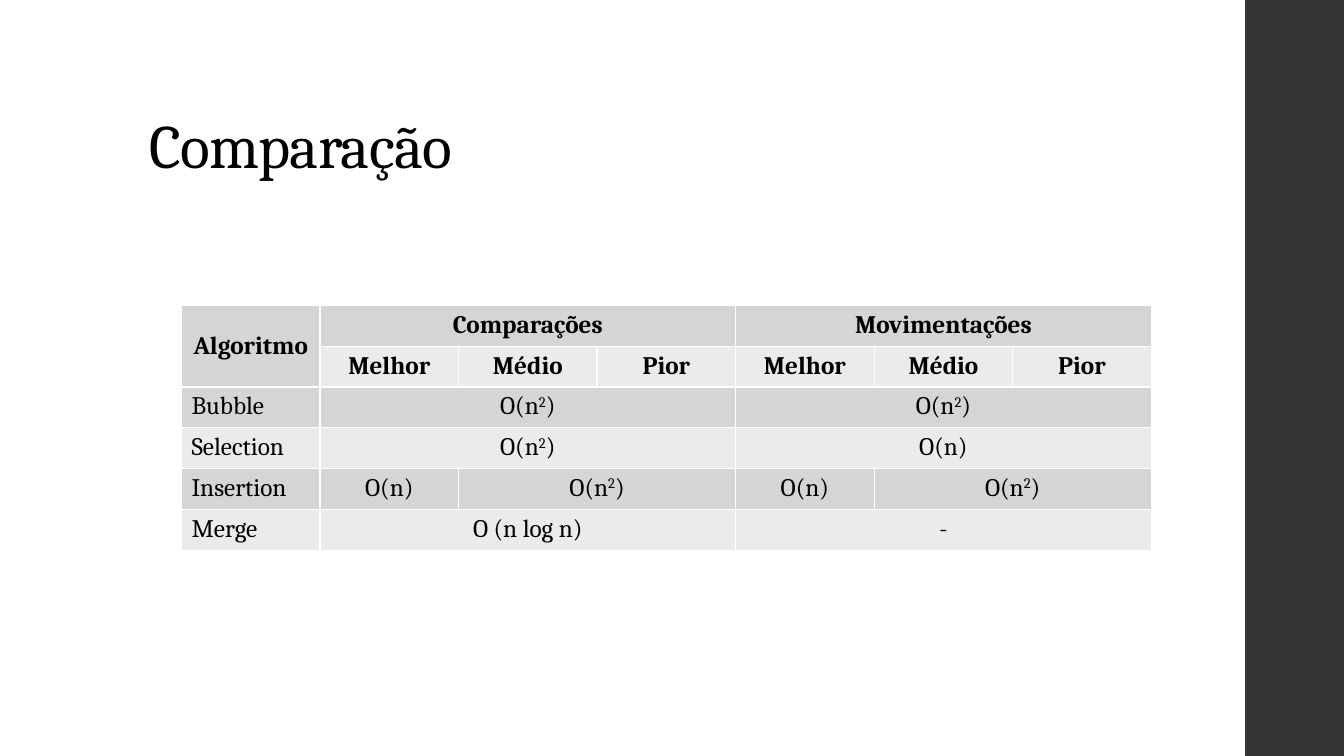
from dataclasses import dataclass

from lxml import etree
from pptx import Presentation
from pptx import util as u
from pptx.dml.color import RGBColor
from pptx.enum import shapes, text
from pptx.oxml import ns


@dataclass(frozen=True)
class Theme:
    font: str = "Cambria"
    ink: str = "000000"
    sidebar: str = "353537"
    dark_band: str = "D5D5D6"
    light_band: str = "EBEBEB"
    border: str = "FFFFFF"
    title_size: int = 44
    table_size: int = 18
    border_width: int = 1


@dataclass(frozen=True)
class Entry:
    row: int
    column: int
    words: str
    columns: int = 1
    rows: int = 1


THEME = Theme()
ROWS, COLUMNS, HEADER_ROWS = 6, 7, 2
GROUP_STARTS = (1, 4)
GROUP_WIDTH = 3
CASES = ("Melhor", "Médio", "Pior")
GROUPS = ("Comparações", "Movimentações")
ALGORITHMS = {
    "Bubble": (("O(n²)",), ("O(n²)",)),
    "Selection": (("O(n²)",), ("O(n)",)),
    "Insertion": (("O(n)", "O(n²)"), ("O(n)", "O(n²)")),
    "Merge": (("O (n log n)",), ("-",)),
}


def write(paragraph, words: str, *, size: int, bold: bool = False,
          align=text.PP_ALIGN.LEFT, spacing: float = 0) -> None:
    paragraph.alignment = align
    before, square, after = words.partition("²")
    for part, raised in ((before, False), ("2" if square else "", True), (after, False)):
        if not part:
            continue
        run = paragraph.add_run()
        run.text = part
        run.font.name = THEME.font
        run.font.size = u.Pt(size)
        run.font.bold = bold
        run.font.color.rgb = RGBColor.from_string(THEME.ink)
        properties = run._r.get_or_add_rPr()
        if raised:
            properties.set("baseline", "30000")
        if spacing:
            properties.set("spc", str(round(spacing * 100)))


def add_sidebar(slide) -> None:
    sidebar = slide.shapes.add_shape(
        shapes.MSO_SHAPE.RECTANGLE, u.Inches(12.35), 0, u.Inches(1), u.Inches(7.5))
    sidebar.shadow.inherit = False
    sidebar.fill.solid()
    sidebar.fill.fore_color.rgb = RGBColor.from_string(THEME.sidebar)
    sidebar.line.fill.background()


def add_title(slide, words: str) -> None:
    title = slide.shapes.add_textbox(
        u.Inches(1.38), u.Inches(0.4), u.Inches(10.6), u.Inches(1.45))
    frame = title.text_frame
    frame.word_wrap = True
    frame.vertical_anchor = text.MSO_ANCHOR.BOTTOM
    paragraph = frame.paragraphs[0]
    paragraph.line_spacing = 0.9
    write(paragraph, words, size=THEME.title_size, spacing=-0.5)


def style_cell(cell, color: str) -> None:
    cell.fill.solid()
    cell.fill.fore_color.rgb = RGBColor.from_string(color)
    properties = cell._tc.get_or_add_tcPr()
    for index, side in enumerate(("lnL", "lnR", "lnT", "lnB")):
        line = etree.Element(ns.qn(f"a:{side}"), w=str(u.Pt(THEME.border_width)))
        fill = etree.SubElement(line, ns.qn("a:solidFill"))
        etree.SubElement(fill, ns.qn("a:srgbClr"), val=THEME.border)
        properties.insert(index, line)


def table_entries() -> list[Entry]:
    entries = [Entry(0, 0, "Algoritmo", rows=HEADER_ROWS)]
    for start, group in zip(GROUP_STARTS, GROUPS):
        entries.append(Entry(0, start, group, GROUP_WIDTH))
        entries += [Entry(1, start + offset, case) for offset, case in enumerate(CASES)]
    for row, (algorithm, costs) in enumerate(ALGORITHMS.items(), HEADER_ROWS):
        entries.append(Entry(row, 0, algorithm))
        for start, group_costs in zip(GROUP_STARTS, costs):
            last = len(group_costs) - 1
            for offset, cost in enumerate(group_costs):
                span = GROUP_WIDTH - last if offset == last else 1
                entries.append(Entry(row, start + offset, cost, span))
    return entries


def add_entry(table, entry: Entry) -> None:
    cell = table.cell(entry.row, entry.column)
    if entry.columns > 1 or entry.rows > 1:
        cell.merge(table.cell(entry.row + entry.rows - 1, entry.column + entry.columns - 1))
    header = entry.row < HEADER_ROWS
    if header:
        cell.vertical_anchor = text.MSO_ANCHOR.MIDDLE
    centred = header or entry.column > 0
    write(cell.text_frame.paragraphs[0], entry.words, size=THEME.table_size, bold=header,
          align=text.PP_ALIGN.CENTER if centred else text.PP_ALIGN.LEFT)


def add_comparison(slide) -> None:
    table = slide.shapes.add_table(
        ROWS, COLUMNS, u.Inches(1.8), u.Inches(3.03), u.Inches(9.62), u.Inches(2.43)).table
    table.first_row = table.horz_banding = False
    for row in range(ROWS):
        for column in range(COLUMNS):
            style_cell(table.cell(row, column),
                       THEME.light_band if row % 2 else THEME.dark_band)
    for entry in table_entries():
        add_entry(table, entry)
    table.cell(1, 0).fill.fore_color.rgb = RGBColor.from_string(THEME.dark_band)


def main() -> None:
    presentation = Presentation()
    presentation.slide_width = u.Inches(13.33)
    presentation.slide_height = u.Inches(7.5)
    slide = presentation.slides.add_slide(presentation.slide_layouts[6])
    add_sidebar(slide)
    add_title(slide, "Comparação")
    add_comparison(slide)
    presentation.save("out.pptx")


main()
